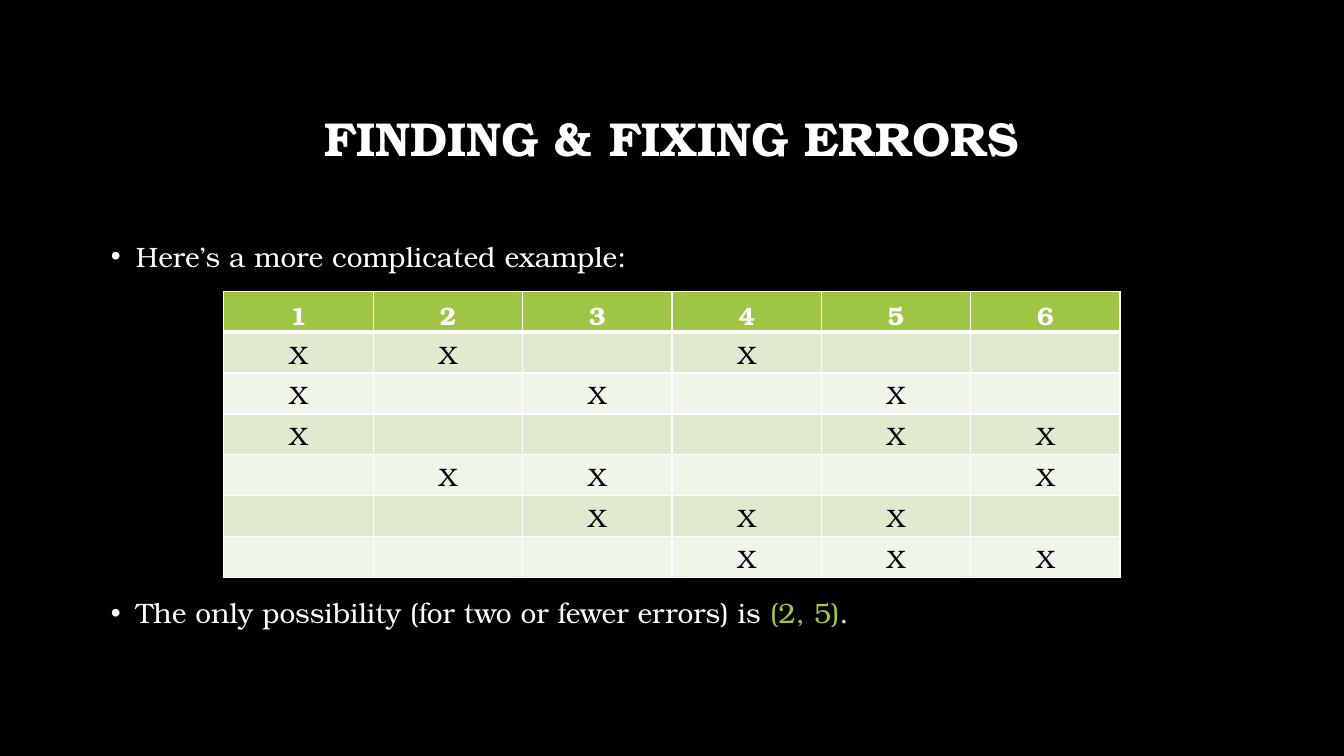
import pptx
import pptx.util
import pptx.dml.color
import pptx.enum.text
import pptx.oxml
import pptx.oxml.ns
from pptx.util import Inches

FONT = "TeX Gyre Bonum"
WHITE, BLACK, GREEN = "FFFFFF", "000000", "9EC544"
BANDS = ["DFEACF", "F0F5E9"]
CENTER = pptx.enum.text.PP_ALIGN.CENTER
MIDDLE = pptx.enum.text.MSO_ANCHOR.MIDDLE


def color(value):
    return pptx.dml.color.RGBColor.from_string(value)


def add_span(para, text, size, ink, bold=False):
    span = para.add_run()
    span.text = text
    span.font.name = FONT
    span.font.size = pptx.util.Pt(size)
    span.font.bold = bold
    span.font.color.rgb = color(ink)


deck = pptx.Presentation()
deck.slide_width, deck.slide_height = Inches(13.33), Inches(7.5)
page = deck.slides.add_slide(deck.slide_layouts[6])
page.background.fill.solid()
page.background.fill.fore_color.rgb = color(BLACK)

# Title
title_box = page.shapes.add_textbox(Inches(1), Inches(0.67), Inches(11.32), Inches(1.45))
title_box.text_frame.word_wrap = True
title_box.text_frame.vertical_anchor = MIDDLE
para = title_box.text_frame.paragraphs[0]
para.alignment = CENTER
para.line_spacing = 0.9
add_span(para, "FINDING & FIXING ERRORS", 34, WHITE, bold=True)

# Bullets above and below the table
bullets = [
    (10, [("Here’s a more complicated example:", WHITE)]),
    (228.4, [("The only possibility (for two or fewer errors) is ", WHITE),
             ("(2, 5)", GREEN), (".", WHITE)]),
]
body_box = page.shapes.add_textbox(Inches(1), Inches(2.29), Inches(11.32), Inches(4.04))
frame = body_box.text_frame
frame.word_wrap = True
for index, (space_before, spans) in enumerate(bullets):
    para = frame.add_paragraph() if index else frame.paragraphs[0]
    para.line_spacing = 1.1
    para.space_before = pptx.util.Pt(space_before)
    properties = para._p.get_or_add_pPr()
    properties.set("marL", str(Inches(0.25)))
    properties.set("indent", str(Inches(-0.25)))
    namespace = pptx.oxml.ns.nsdecls("a")
    properties.append(pptx.oxml.parse_xml(f'<a:buFont {namespace} typeface="Arial"/>'))
    properties.append(pptx.oxml.parse_xml(f'<a:buChar {namespace} char="•"/>'))
    for text, ink in spans:
        add_span(para, text, 20, ink)

# Table of checks: header, then one row of marks per check
rows = ["123456", "XX X  ", "X X X ", "X   XX", " XX  X", "  XXX ", "   XXX"]
table = page.shapes.add_table(
    len(rows), 6, Inches(2.22), Inches(2.89), Inches(8.89), Inches(2.84)).table
for row_index, marks in enumerate(rows):
    header = row_index == 0
    for column_index, mark in enumerate(marks):
        cell = table.cell(row_index, column_index)
        # Borders, with a heavy rule under the header
        heavy_side = {0: "lnB", 1: "lnT"}.get(row_index)
        for side in ("lnL", "lnR", "lnT", "lnB"):
            width = pptx.util.Pt(3 if side == heavy_side else 1)
            cell._tc.get_or_add_tcPr().append(pptx.oxml.parse_xml(
                f'<a:{side} {pptx.oxml.ns.nsdecls("a")} w="{width}"><a:solidFill>'
                f'<a:srgbClr val="{WHITE}"/></a:solidFill></a:{side}>'))
        cell.fill.solid()
        cell.fill.fore_color.rgb = color(GREEN if header else BANDS[(row_index - 1) % 2])
        para = cell.text_frame.paragraphs[0]
        para.alignment = CENTER
        para.font.size = pptx.util.Pt(18)
        if mark != " ":
            add_span(para, mark, 18, WHITE if header else BLACK, bold=header)

deck.save("out.pptx")
